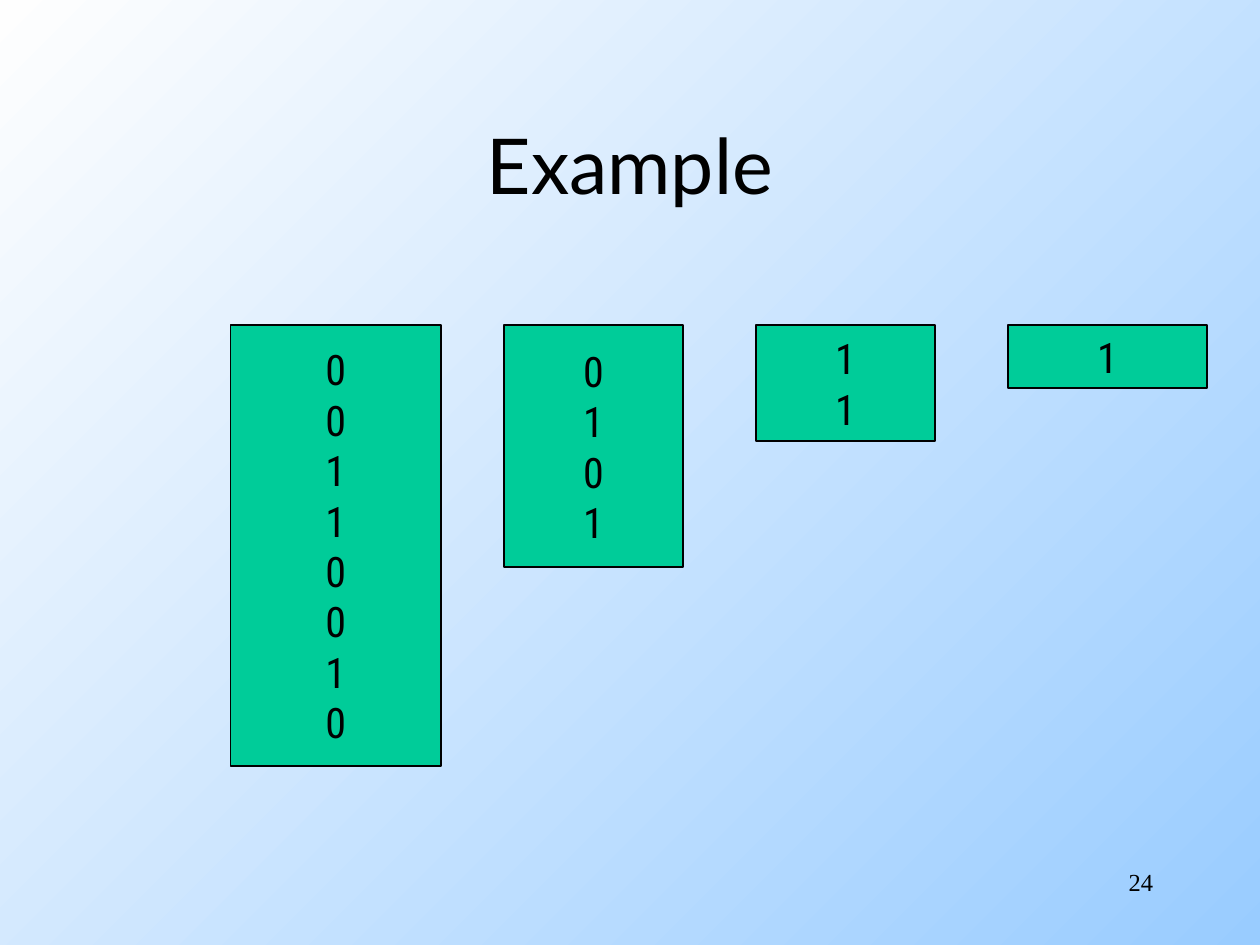
from dataclasses import dataclass

from pptx import Presentation
from pptx.dml.color import RGBColor
from pptx.enum.shapes import MSO_SHAPE
from pptx.enum.text import MSO_ANCHOR, PP_ALIGN
from pptx.slide import Slide
from pptx.util import Inches, Pt


def color(hex_value):
    return RGBColor.from_string(hex_value)


@dataclass
class SlideBuilder:
    """Hold the style and the current slide, and add its elements."""

    slide: Slide
    ink: str = "000000"
    box_fill: str = "00CC99"
    gradient: tuple = ("99CCFF", "FEFEFE")

    def background(self):
        fill = self.slide.background.fill
        fill.gradient()
        fill.gradient_angle = 135
        for stop, hex_value, position in zip(fill.gradient_stops, self.gradient, (0, 1)):
            stop.color.rgb = color(hex_value)
            stop.position = position

    def set_lines(self, shape, lines, font, size, align, anchor, wrap):
        frame = shape.text_frame
        frame.text = "\n".join(lines)
        for name, value in {"word_wrap": wrap, "vertical_anchor": anchor}.items():
            setattr(frame, name, value)
        for paragraph in frame.paragraphs:
            paragraph.alignment = align
            for run in paragraph.runs:
                for name, value in {"name": font, "size": Pt(size)}.items():
                    setattr(run.font, name, value)
                run.font.color.rgb = color(self.ink)

    def label(self, text, bounds, font, size, align, anchor):
        box = self.slide.shapes.add_textbox(*map(Inches, bounds))
        self.set_lines(box, [text], font, size, align, anchor, True)

    def bit_column(self, bits, bounds):
        column = self.slide.shapes.add_shape(MSO_SHAPE.RECTANGLE, *map(Inches, bounds))
        column.shadow.inherit = False
        column.fill.solid()
        column.fill.fore_color.rgb = color(self.box_fill)
        column.line.color.rgb = color(self.ink)
        column.line.width = Pt(0.75)
        self.set_lines(column, bits, "Roboto Condensed", 24,
                       PP_ALIGN.CENTER, MSO_ANCHOR.MIDDLE, False)


def main():
    deck = Presentation()
    deck.slide_width, deck.slide_height = Inches(10), Inches(7.5)
    builder = SlideBuilder(deck.slides.add_slide(deck.slide_layouts[6]))
    builder.background()
    builder.label("Example", (0.75, 0.67, 8.5, 1.25), "Lato", 44,
                  PP_ALIGN.CENTER, MSO_ANCHOR.MIDDLE)
    columns_top = 2.58
    for bits, left, width, height in (
        ("00110010", 1.83, 1.67, 3.5),
        ("0101", 4, 1.42, 1.92),
        ("11", 6, 1.42, 0.92),
        ("1", 8, 1.58, 0.5),
    ):
        builder.bit_column(bits, (left, columns_top, width, height))
    builder.label("24", (7.17, 6.83, 2.08, 0.5), "Times New Roman", 14,
                  PP_ALIGN.RIGHT, MSO_ANCHOR.TOP)
    deck.save("out.pptx")


if __name__ == "__main__":
    main()
